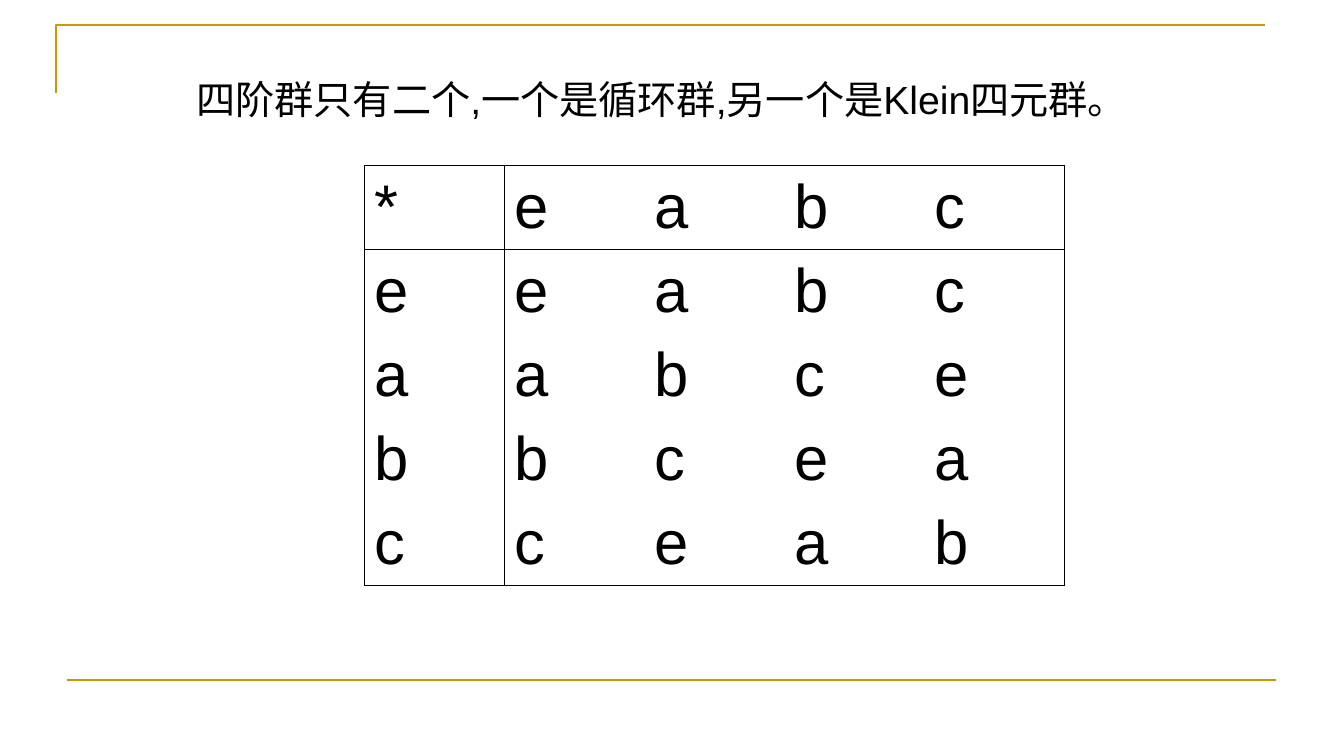
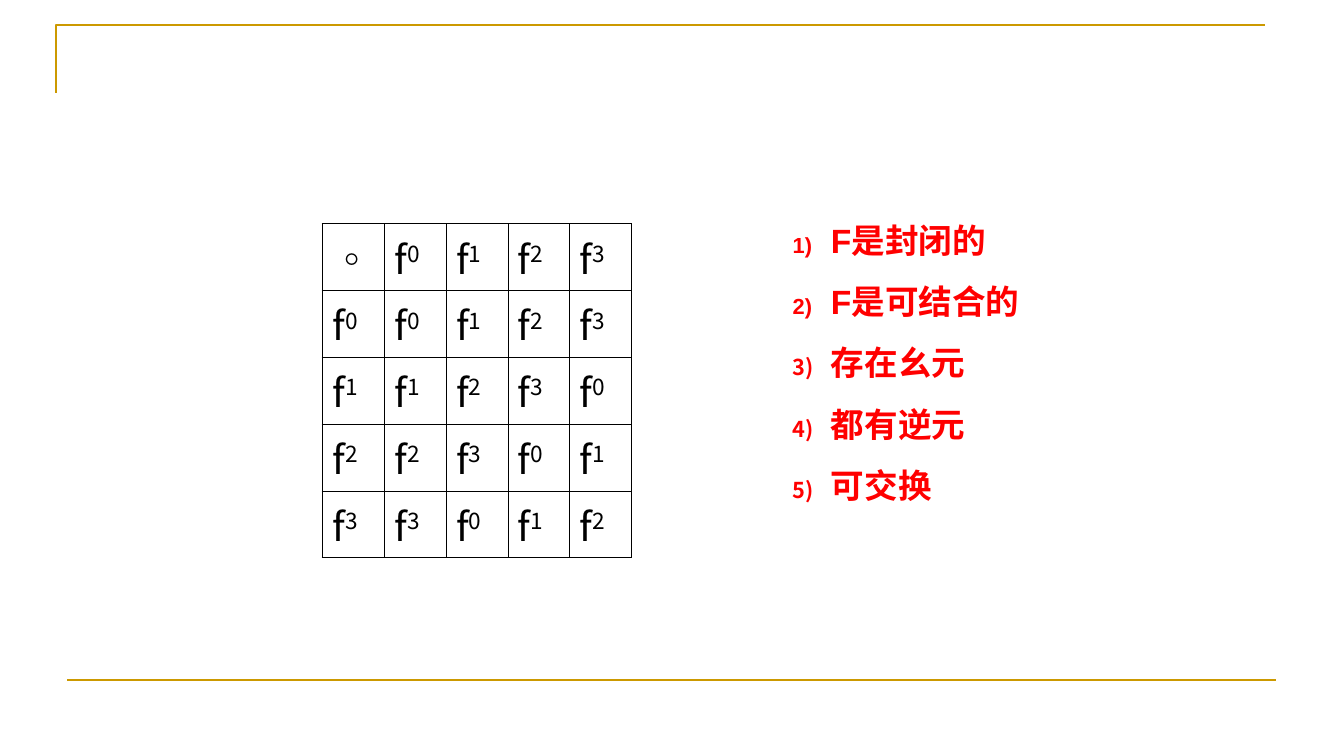
from lxml.etree import SubElement
from pptx import Presentation
from pptx.dml.color import RGBColor
from pptx.enum.shapes import MSO_CONNECTOR
from pptx.enum.text import MSO_ANCHOR, MSO_AUTO_SIZE, PP_ALIGN
from pptx.oxml.ns import qn
from pptx.util import Pt

PX = 9144
COLORS = {"ink": "000000", "gold": "CC9900", "red": "FF0000"}
LATIN, CJK = "Arial", "Noto Sans CJK SC"
TITLE_ONLY, BLANK = 5, 6


def px(*lengths):
    """Turn px lengths into EMU."""
    return [round(length * PX) for length in lengths]


def rgb(color):
    """Look up a named colour."""
    return RGBColor.from_string(COLORS[color])


def set_font(paragraph, size, color="ink", latin=LATIN, bold=False):
    """Set the font of a whole paragraph, with its East Asian typeface."""
    font = paragraph.font
    font.size, font.bold, font.name = Pt(size), bold, latin
    font.color.rgb = rgb(color)
    defaults = paragraph._p.pPr.find(qn("a:defRPr"))
    SubElement(defaults, qn("a:ea"), typeface=CJK)


def add_frame(slide):
    """Draw the gold corner and the bottom rule that every slide carries."""
    builder = slide.shapes.build_freeform(*px(56, 92), scale=1.0)
    builder.add_line_segments([px(56, 25), px(1256, 25)], close=False)
    corner = builder.convert_to_shape()
    corner.fill.background()
    corner.shadow.inherit = False
    bottom_rule = slide.shapes.add_connector(
        MSO_CONNECTOR.STRAIGHT, *px(67, 675, 1267, 675))
    for part in (corner, bottom_rule):
        part.line.color.rgb = rgb("gold")
        part.line.width = Pt(1.5)
    SubElement(bottom_rule._element.spPr, qn("a:effectLst"))


def add_title(slide, box, statement):
    """Place the statement in the title placeholder."""
    title = slide.shapes.title
    title.left, title.top, title.width, title.height = px(*box)
    frame = title.text_frame
    frame.text = statement
    frame.word_wrap = True
    frame.auto_size = MSO_AUTO_SIZE.NONE
    frame.vertical_anchor = MSO_ANCHOR.MIDDLE
    heading = frame.paragraphs[0]
    heading.alignment = PP_ALIGN.LEFT
    set_font(heading, 28)


def set_borders(cell, widths):
    """Draw the left, right, top and bottom borders; None hides one."""
    properties = cell._tc.get_or_add_tcPr()
    for side, width in zip("LRTB", widths):
        border = SubElement(properties, qn(f"a:ln{side}"))
        if width is None:
            SubElement(border, qn("a:noFill"))
            continue
        border.set("w", str(Pt(width)))
        fill = SubElement(border, qn("a:solidFill"))
        SubElement(fill, qn("a:srgbClr"), val=COLORS["ink"])


def write_element(cell, element, size, latin):
    """Write a group element, raising what follows its first letter."""
    paragraph = cell.text_frame.paragraphs[0]
    set_font(paragraph, size, latin=latin)
    paragraph.add_run().text = element[0]
    if element[1:]:
        power = paragraph.add_run()
        power.text = element[1:]
        power._r.get_or_add_rPr().set("baseline", "30000")


def add_cyclic_table(slide, box, operation, elements, rules, size, latin, anchor):
    """Build the operation table of a cyclic group, each row shifted by one."""
    lines = [[operation, *elements]]
    lines += [[element, *elements[shift:], *elements[:shift]]
              for shift, element in enumerate(elements)]
    order = len(lines)
    left, top, width, height = px(*box)
    table = slide.shapes.add_table(order, order, left, top, width, height).table
    table.first_row = table.horz_banding = False
    for row, line in enumerate(lines):
        table.rows[row].height = height // order
        table.columns[row].width = width // order
        for column, element in enumerate(line):
            cell = table.cell(row, column)
            edges = (column, column + 1, row, row + 1)
            set_borders(cell, [rules.get(edge) for edge in edges])
            cell.fill.background()
            cell.vertical_anchor = anchor
            write_element(cell, element, size, latin)


def add_properties(slide, box, properties):
    """List the properties of the group with numbers."""
    frame = slide.shapes.add_textbox(*px(*box)).text_frame
    frame.word_wrap = True
    for index, wording in enumerate(properties):
        item = frame.add_paragraph() if index else frame.paragraphs[0]
        item.text = wording
        layout = item._p.get_or_add_pPr()
        indent, = px(38)
        layout.set("marL", str(indent))
        layout.set("indent", str(-indent))
        bullet_color = SubElement(layout, qn("a:buClr"))
        SubElement(bullet_color, qn("a:srgbClr"), val=COLORS["red"])
        SubElement(layout, qn("a:buSzPct"), val="65000")
        SubElement(layout, qn("a:buAutoNum"), type="arabicParenR")
        item.line_spacing = Pt(28.8)
        if index:
            item.space_before = Pt(15)
        set_font(item, 24, "red", bold=True)


def build_order_four(deck):
    """State which groups have order four and show the cyclic one."""
    slide = deck.slides.add_slide(deck.slide_layouts[TITLE_ONLY])
    add_frame(slide)
    add_cyclic_table(slide, (362, 164, 694, 417), "*", ["e", "a", "b", "c"],
                     dict.fromkeys((0, 1, 5), 0.45), 44, LATIN, MSO_ANCHOR.MIDDLE)
    add_title(slide, (185, 70, 1008, 57),
              "四阶群只有二个,一个是循环群,另一个是Klein四元群。")


def build_powers(deck):
    """Show the table of the powers of f beside its properties."""
    slide = deck.slides.add_slide(deck.slide_layouts[BLANK])
    add_frame(slide)
    rules = dict.fromkeys(range(1, 5), 0.45) | {0: 1.08, 5: 1.08}
    add_cyclic_table(slide, (320, 222, 307, 283), "◦", ["f0", "f1", "f2", "f3"],
                     rules, 28, CJK, MSO_ANCHOR.TOP)
    add_properties(slide, (777, 213, 287, 294),
                   ["F是封闭的", "F是可结合的", "存在幺元", "都有逆元", "可交换"])


def main():
    """Build and save the presentation."""
    deck = Presentation()
    deck.slide_width, deck.slide_height = px(1334, 750)
    build_order_four(deck)
    build_powers(deck)
    deck.save("out.pptx")


if __name__ == "__main__":
    main()
